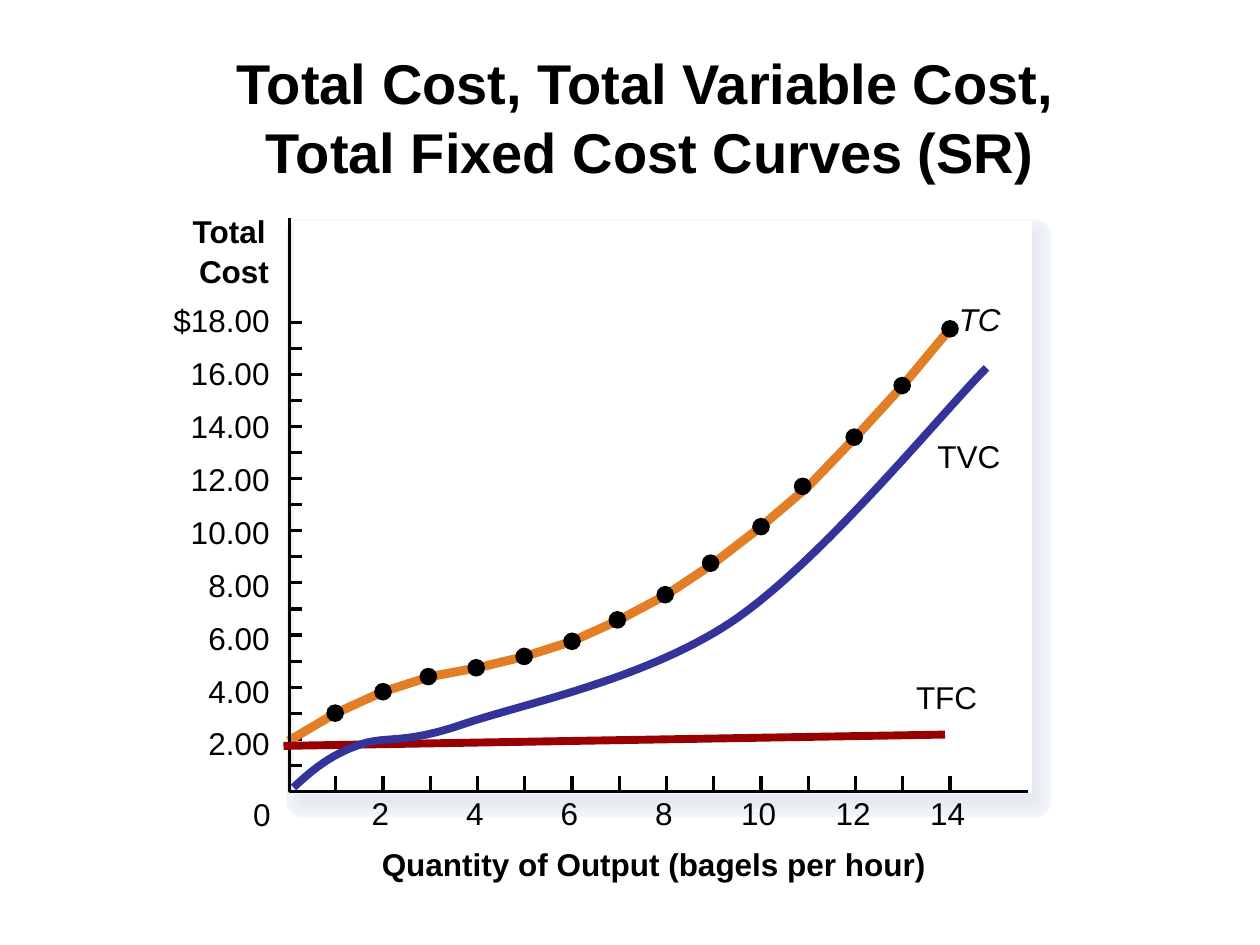
from lxml.etree import SubElement
from pptx import Presentation
from pptx.dml.color import RGBColor as RGB
from pptx.enum.shapes import MSO_CONNECTOR as Con, MSO_SHAPE as Kind
from pptx.enum.text import MSO_ANCHOR as Anchor, MSO_AUTO_SIZE as Auto, PP_ALIGN as Align
from pptx.oxml.ns import qn
from pptx.util import Inches as In, Pt

THEME = {
    "font": "Arial", "title": 32, "lead": 39.5, "body": 18,
    "ink": "000000", "paper": "FFFFFF",
    "tc": "E17E26", "tvc": "333399", "tfc": "990000",
    "thin": 1.75, "bold": 4.5, "thick": 5.13,
    "halo": ((0xF3, 0xF6, 0xF9), (0xE6, 0xE9, 0xEF)), "blur": (18.88, 1.75),
}

TITLE = [("Total Cost, Total Variable Cost,", 0.14),
         ("Total Fixed Cost Curves (SR)", 0.37)]
COSTS = ["$18.00", "16.00", "14.00", "12.00", "10.00", "8.00", "6.00", "4.00", "2.00"]
UNITS = range(2, 15, 2)
TC = [5.88, 5.66, 5.49, 5.37, 5.3, 5.21, 5.09, 4.92, 4.72, 4.47, 4.18, 3.86, 3.47, 3.06, 2.61]
DOTS = [2.66, 3.04, 3.4, 3.78, 4.16, 4.54, 4.9, 5.28, 5.64, 6.04, 6.37, 6.78, 7.16, 7.54]
TVC = [(2.33, 6.25), (2.47, 6.12), (2.61, 6), (2.83, 5.92), (3.06, 5.83), (3.17, 5.92),
       (3.67, 5.75), (4.17, 5.58), (5.14, 5.39), (5.83, 4.92), (6.53, 4.44), (7.5, 3.25),
       (7.83, 2.92)]
TFC = [(2.25, 5.92), (7.5, 5.83)]
AXES = [(2.3, 1.73), (2.3, 6.28), (8.16, 6.28)]
NOTES = [
    ("Total", (1.53, 1.68, 0.6), {"bold": True}),
    ("Cost", (1.58, 2, 0.56), {"bold": True}),
    ("Quantity of Output (bagels per hour)", (3.03, 6.71, 4.32), {"bold": True}),
    ("TC", (7.61, 2.38, 0.33), {"italic": True}),
    ("TVC", (7.44, 3.47, 0.5), {}),
    ("TFC", (7.27, 5.38, 0.48), {}),
    ("0", (2.01, 6.31, 0.14), {}),
]

LEFT, BASE = 2.29, 6.28
COL, ROW = 5.25 / 14, 3.72 / 18
DIGIT, HIGH, DOT = 0.14, 0.3, 0.14

prs = Presentation()
prs.slide_width, prs.slide_height = In(10), In(7.5)
slide = prs.slides.add_slide(prs.slide_layouts[5])
shapes = slide.shapes


def col(n):
    return LEFT + n * COL


def row(n):
    return BASE - n * ROW


def ink(font, size, **style):
    look = {"name": THEME["font"], "size": Pt(size), **style}
    for key, value in look.items():
        setattr(font, key, value)
    font.color.rgb = RGB.from_string(THEME["ink"])


def stroke(item, color, width):
    item.line.color.rgb = RGB.from_string(color)
    item.line.width = Pt(width)


def block(kind, box, fill, width=0, home=shapes):
    item = home.add_shape(kind, *map(In, box))
    item.shadow.inherit = False
    item.fill.solid()
    item.fill.fore_color.rgb = RGB.from_string(fill)
    if width:
        stroke(item, fill, width)
    else:
        item.line.fill.background()


def line(start, end, color=THEME["ink"], width=THEME["thin"], home=shapes):
    item = home.add_connector(Con.STRAIGHT, *map(In, (*start, *end)))
    stroke(item, color, width)
    SubElement(item._element.spPr, qn("a:effectLst"))


def trace(points, color, width):
    first, *rest = [(In(x), In(y)) for x, y in points]
    pen = shapes.build_freeform(*first)
    pen.add_line_segments(rest, close=False)
    item = pen.convert_to_shape()
    item.shadow.inherit = False
    item.fill.background()
    stroke(item, color, width)
    return item


def bend(item):
    steps = list(item._element.iter(qn("a:lnTo")))
    for n in range(0, len(steps), 3):
        steps[n].tag = qn("a:cubicBezTo")
        for step in steps[n + 1:n + 3]:
            steps[n].append(step[0])
            step.getparent().remove(step)


def frame(item, **more):
    look = {"margin_left": 0, "margin_right": 0, "margin_top": 0, "margin_bottom": 0,
            "auto_size": Auto.NONE, "vertical_anchor": Anchor.TOP, **more}
    for key, value in look.items():
        setattr(item.text_frame, key, value)
    return item.text_frame


def label(text, spot, align=Align.LEFT, **style):
    item = shapes.add_textbox(*map(In, (*spot, HIGH)))
    para = frame(item, word_wrap=False).paragraphs[0]
    para.text, para.alignment = text, align
    ink(para.font, THEME["body"], **style)


head = shapes.title
head.left, head.top, head.width, head.height = map(In, (1.74, 0.37, 6.84, 1.13))
body = frame(head, word_wrap=True)
body.text = "\n".join(text for text, _ in TITLE)
for para, (_, inset) in zip(body.paragraphs, TITLE):
    para._p.get_or_add_pPr().set("marL", str(In(inset)))
    para.alignment, para.line_spacing = Align.LEFT, Pt(THEME["lead"])
    ink(para.font, THEME["title"], bold=True)

(pale, deep), (wide, slim) = THEME["halo"], THEME["blur"]
for n in range(11):
    part = n / 10
    tone = RGB(*(round(a + (b - a) * part) for a, b in zip(pale, deep)))
    block(Kind.RECTANGLE, (2.4, 1.87, 5.81, 4.48), str(tone), wide + (slim - wide) * part)
block(Kind.RECTANGLE, (2.33, 1.75, 5.86, 4.55), THEME["paper"])

for n in range(1, 19):
    line((2.3, row(n)), (2.4, row(n)))
curve = shapes.add_group_shape().shapes
path = [(col(n), y) for n, y in enumerate(TC)]
for start, end in zip(path, path[1:]):
    line(end, start, THEME["tc"], THEME["thick"], curve)
for n in range(1, 15):
    line((col(n), 6.16), (col(n), BASE))
trace(AXES, THEME["ink"], THEME["thin"])
marks = shapes.add_group_shape().shapes
for x, y in zip(DOTS, TC[1:]):
    block(Kind.OVAL, (x - DOT / 2, y - DOT / 2, DOT, DOT), THEME["ink"], home=marks)

for n, text in enumerate(COSTS):
    width = DIGIT * len(text) - DIGIT / 2
    label(text, (2.14 - width, 2.39 + 0.42 * n, width), Align.RIGHT)
for n in UNITS:
    width = DIGIT * len(str(n))
    label(str(n), (col(n) - 0.02 - width / 2, 6.3, width), Align.CENTER)
for text, spot, style in NOTES:
    label(text, spot, **style)

line(*TFC, THEME["tfc"], THEME["bold"])
bend(trace(TVC, THEME["tvc"], THEME["bold"]))

prs.save("out.pptx")
